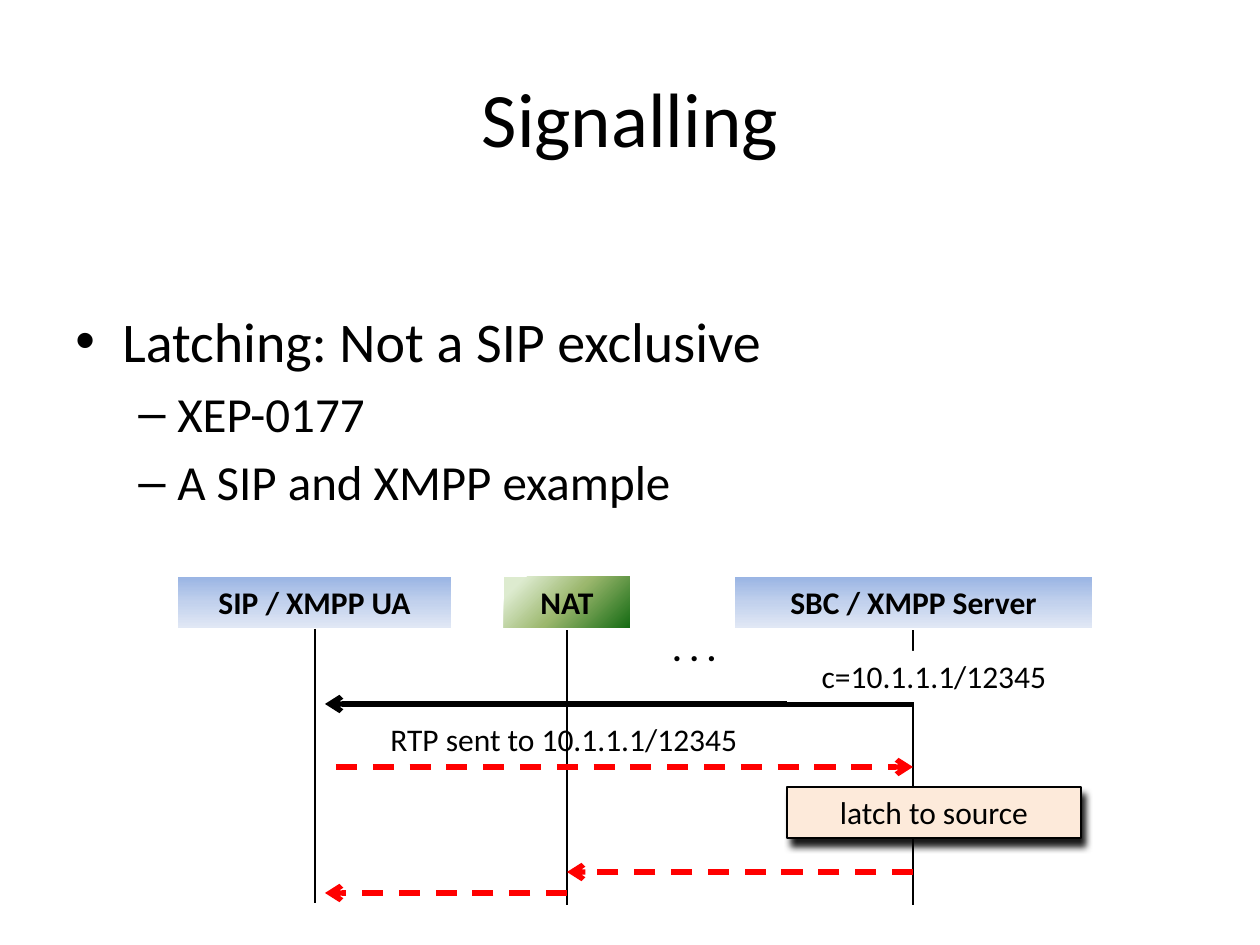
from dataclasses import dataclass

from lxml import etree
from pptx import Presentation
from pptx import util as u
from pptx.dml.color import RGBColor
from pptx.enum import dml, shapes, text
from pptx.oxml.ns import qn

PX_PER_INCH = 126
FONT = "Calibri"
BLACK, RED, WHITE, PEACH = "000000", "FF0000", "FFFFFF", "FDEADA"
BLUE_STOPS = ((0, "9AB5E4"), (50, "C2D1ED"), (100, "E1E8F5"))
GREEN_STOPS = ((12, "DDEBCF"), (50, "9CB86E"), (100, "156B13"))

# Diagram columns and rows
UA_X, NAT_X, SERVER_X = 315, 567, 913
HEADER_TOP, BOX_HEIGHT = 577, 51


@dataclass(frozen=True)
class Box:
    label: str
    left: int
    top: int
    width: int
    height: int = BOX_HEIGHT
    fill: str | None = None
    stops: tuple = ()
    angle: int = 90
    line: str | None = None
    shadow: bool = False
    size: int = 18
    bold: bool = False
    align: text.PP_ALIGN = text.PP_ALIGN.CENTER


@dataclass(frozen=True)
class Line:
    start: tuple[int, int]
    end: tuple[int, int]
    color: str = BLACK
    width: float = 1.25
    dashed: bool = False
    arrow: bool = False


@dataclass(frozen=True)
class Bullet:
    label: str
    size: int
    mark: str
    margin: int
    hanging: int
    level: int = 0


BULLETS = [
    Bullet("Latching: Not a SIP exclusive", 32, "•", 47, 47),
    Bullet("XEP-0177", 28, "–", 102, 39, 1),
    Bullet("A SIP and XMPP example", 28, "–", 102, 39, 1),
]

LINES = [
    # Lifelines
    Line((UA_X, 629), (UA_X, 903)),
    Line((NAT_X, 630), (NAT_X, 905)),
    Line((SERVER_X, 630), (SERVER_X, 905)),
    # Messages
    Line((SERVER_X, 704), (325, 704), width=3, arrow=True),
    Line((336, 767), (SERVER_X, 767), RED, 3, True, True),
    Line((SERVER_X, 872), (NAT_X, 872), RED, 3, True, True),
    Line((NAT_X, 893), (325, 893), RED, 3, True, True),
]

BOXES = [
    Box("SIP / XMPP UA", 178, HEADER_TOP, 273, stops=BLUE_STOPS, bold=True),
    Box("NAT", 504, HEADER_TOP, 126, stops=GREEN_STOPS, angle=45, bold=True),
    Box("SBC / XMPP Server", 735, HEADER_TOP, 357, stops=BLUE_STOPS, bold=True),
    Box("RTP sent to 10.1.1.1/12345", 378, 714, 504, align=text.PP_ALIGN.LEFT),
    Box("c=10.1.1.1/12345", 787, 651, 294, fill=WHITE),
    Box("latch to source", 787, 787, 294, fill=PEACH, line=BLACK, shadow=True),
    Box(". . .", 504, 620, 381, 55, size=20, bold=True),
]


def px(value: int) -> u.Emu:
    return u.Inches(value / PX_PER_INCH)


def color(value: str) -> RGBColor:
    return RGBColor.from_string(value)


def add_xml(parent, tag: str, **attributes):
    names = {name: str(value) for name, value in attributes.items()}
    return etree.SubElement(parent, qn(tag), names)


def write(paragraph, words: str, *, size: int, bold: bool = False,
          align=text.PP_ALIGN.LEFT, before: float = 0) -> None:
    paragraph.alignment = align
    paragraph.space_before = u.Pt(before)
    run = paragraph.add_run()
    run.text = words
    run.font.name = FONT
    run.font.size = u.Pt(size)
    run.font.bold = bold
    run.font.color.rgb = color(BLACK)


def add_gradient(shape, stops: tuple, angle: int) -> None:
    shape.fill.gradient()
    shape.fill.gradient_angle = 360 - angle
    stop_list = shape.fill._xPr.find(".//" + qn("a:gsLst"))
    for stop in list(stop_list):
        stop_list.remove(stop)
    for position, value in stops:
        stop = add_xml(stop_list, "a:gs", pos=position * 1000)
        add_xml(stop, "a:srgbClr", val=value)


def add_shadow(shape) -> None:
    effects = shape._element.spPr.find(qn("a:effectLst"))
    shadow = add_xml(effects, "a:outerShdw", blurRad=u.Pt(4), dist=u.Pt(5),
                     dir=61 * 60000, algn="ctr", rotWithShape=0)
    shade = add_xml(shadow, "a:srgbClr", val=BLACK)
    add_xml(shade, "a:alpha", val=90000)


def add_box(slide, box: Box) -> None:
    shape = slide.shapes.add_shape(
        shapes.MSO_SHAPE.RECTANGLE,
        px(box.left), px(box.top), px(box.width), px(box.height))
    shape.shadow.inherit = False
    if box.stops:
        add_gradient(shape, box.stops, box.angle)
    elif box.fill:
        shape.fill.solid()
        shape.fill.fore_color.rgb = color(box.fill)
    else:
        shape.fill.background()
    if box.line:
        shape.line.color.rgb = color(box.line)
        shape.line.width = u.Pt(0.75)
    else:
        shape.line.fill.background()
    if box.shadow:
        add_shadow(shape)
    frame = shape.text_frame
    frame.word_wrap = True
    frame.vertical_anchor = text.MSO_ANCHOR.TOP
    write(frame.paragraphs[0], box.label, size=box.size, bold=box.bold, align=box.align)


def add_line(slide, line: Line) -> None:
    connector = slide.shapes.add_connector(
        shapes.MSO_CONNECTOR.STRAIGHT, *map(px, line.start + line.end))
    connector.line.color.rgb = color(line.color)
    connector.line.width = u.Pt(line.width)
    if line.dashed:
        connector.line.dash_style = dml.MSO_LINE.DASH
    if line.arrow:
        add_xml(connector.line._get_or_add_ln(), "a:tailEnd", type="arrow")
    add_xml(connector._element.spPr, "a:effectLst")


def add_title(slide, words: str) -> None:
    title = slide.shapes.title
    title.left, title.top, title.width, title.height = map(px, (63, 38, 1134, 158))
    title.text_frame.vertical_anchor = text.MSO_ANCHOR.MIDDLE
    write(title.text_frame.paragraphs[0], words, size=44, align=text.PP_ALIGN.CENTER)


def add_bullets(slide, bullets: list[Bullet]) -> None:
    frame = slide.shapes.add_textbox(px(63), px(300), px(1134), px(230)).text_frame
    frame.word_wrap = True
    for index, bullet in enumerate(bullets):
        paragraph = frame.add_paragraph() if index else frame.paragraphs[0]
        paragraph.level = bullet.level
        write(paragraph, bullet.label, size=bullet.size,
              before=bullet.size * 0.2 if index else 0)
        properties = paragraph._p.get_or_add_pPr()
        properties.set("marL", str(px(bullet.margin)))
        properties.set("indent", str(-px(bullet.hanging)))
        add_xml(properties, "a:buFont", typeface="Arial")
        add_xml(properties, "a:buChar", char=bullet.mark)


def main() -> None:
    presentation = Presentation()
    presentation.slide_width, presentation.slide_height = u.Inches(10), u.Inches(7.5)
    slide = presentation.slides.add_slide(presentation.slide_layouts[5])
    add_title(slide, "Signalling")
    add_bullets(slide, BULLETS)
    # Boxes cover the lifelines
    for line in LINES:
        add_line(slide, line)
    for box in BOXES:
        add_box(slide, box)
    presentation.save("out.pptx")


if __name__ == "__main__":
    main()
